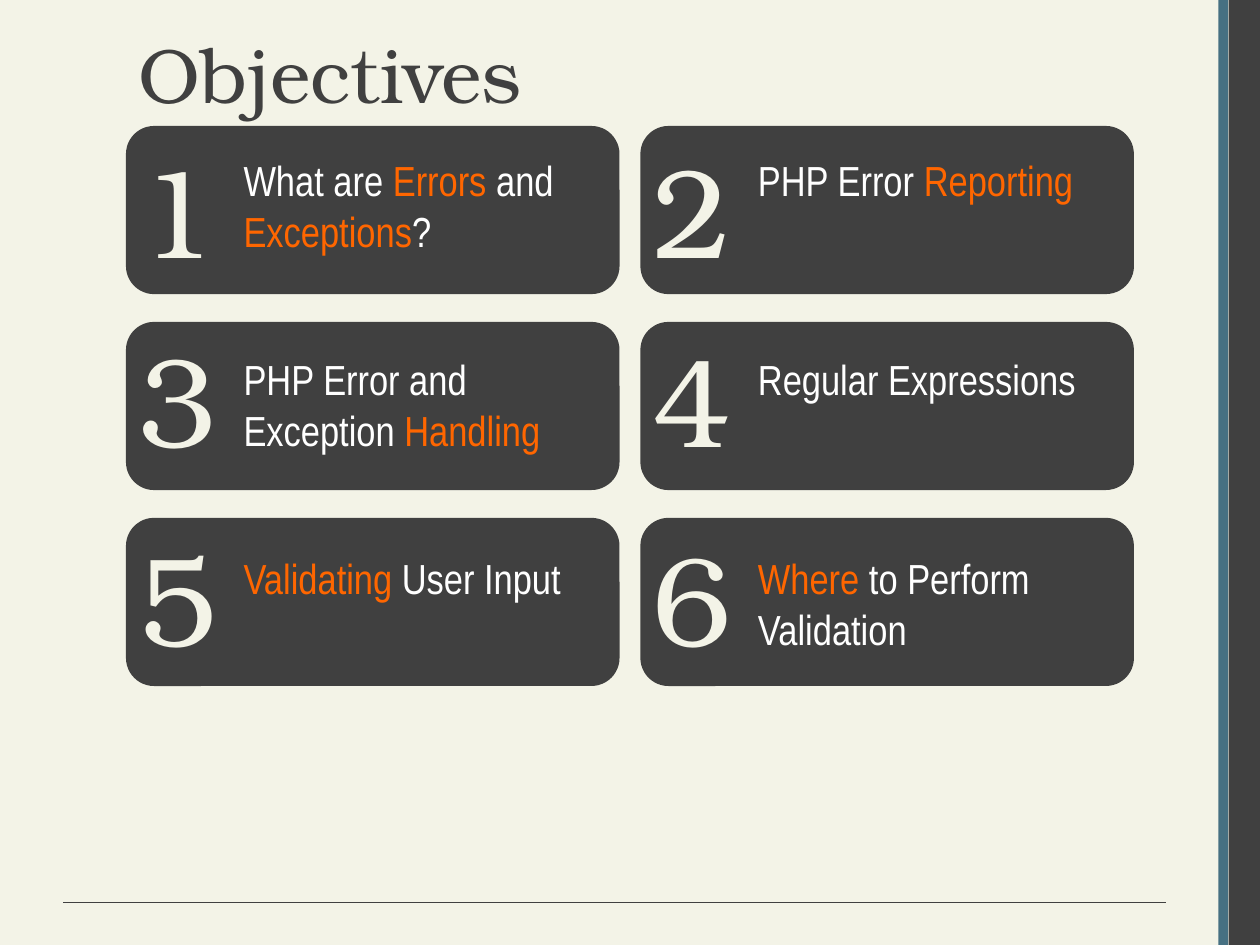
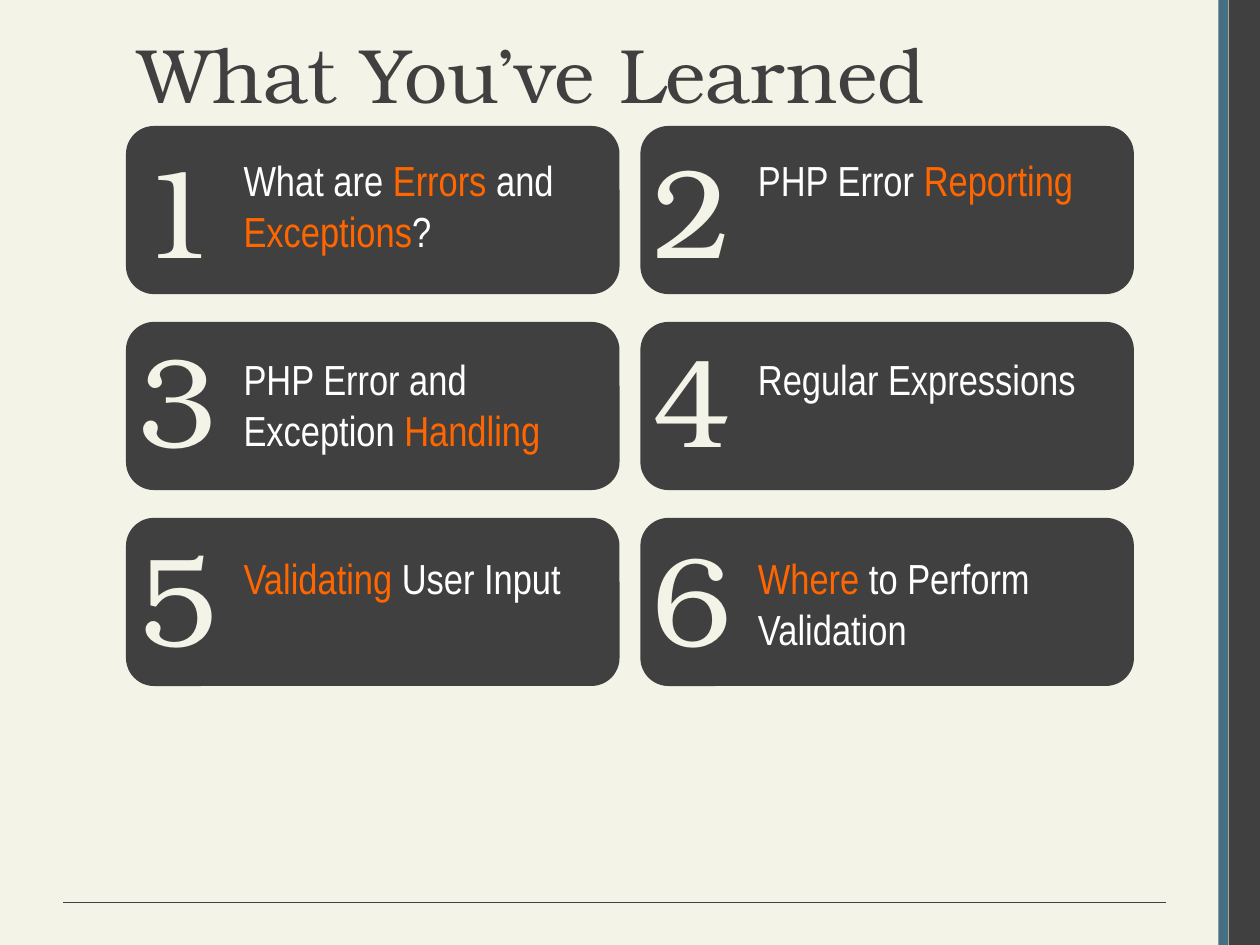
from lxml import etree
from pptx import Presentation
from pptx.dml.color import RGBColor
from pptx.enum.shapes import MSO_CONNECTOR, MSO_SHAPE
from pptx.enum.text import MSO_ANCHOR, MSO_AUTO_SIZE, PP_ALIGN
from pptx.oxml.ns import qn
from pptx.util import Cm, Pt

RECTANGLE = MSO_SHAPE.RECTANGLE
ROUNDED = MSO_SHAPE.ROUNDED_RECTANGLE
STRAIGHT = MSO_CONNECTOR.STRAIGHT
TOP = MSO_ANCHOR.TOP
LEFT = PP_ALIGN.LEFT
FIXED = MSO_AUTO_SIZE.NONE
GROW = MSO_AUTO_SIZE.SHAPE_TO_FIT_TEXT

COLOURS = {
    "paper": "F3F3E7",
    "charcoal": "404040",
    "steel": "467082",
    "white": "FFFFFF",
    "orange": "FF6600",
}
TITLE = {"name": "TeX Gyre Bonum", "size": Pt(44)}
NUMBER = {"name": "TeX Gyre Bonum", "size": Pt(72)}
TOPIC = {"name": "Arial Narrow", "size": Pt(24)}

# Lengths in centimetres
PAGE_WIDTH, PAGE_HEIGHT = 25.4, 19.05
CARD_LEFT, CARD_TOP = 2.54, 2.54
CARD_WIDTH, CARD_HEIGHT = 9.95, 3.39
COLUMN_STEP, ROW_STEP = 10.37, 3.95
NUMBER_TOPS = [2.54, 6.35, 10.37]
TOPIC_INDENT, TOPIC_TOP, TOPIC_STEP = 2.12, 3.0, 4.01

TITLES = ["Objectives", "What You’ve Learned"]
# Topic text, with highlights between asterisks, and the width of its box
TOPICS = [
    ("What are *Errors* and *Exceptions*?", 7.62),
    ("PHP Error *Reporting*", 7.42),
    ("PHP Error and Exception *Handling*", 8.05),
    ("Regular Expressions", 7.19),
    ("*Validating* User Input", 7.19),
    ("*Where* to Perform Validation", 7.19),
]


def colour(name):
    return RGBColor.from_string(COLOURS[name])


def add_block(page, kind, left, top, width, height, fill):
    block = page.shapes.add_shape(kind, Cm(left), Cm(top), Cm(width), Cm(height))
    block.shadow.inherit = False
    block.fill.solid()
    block.fill.fore_color.rgb = colour(fill)
    block.line.fill.background()


def add_rule(page, left, right, height):
    rule = page.shapes.add_connector(
        STRAIGHT, Cm(right), Cm(height), Cm(left), Cm(height))
    rule.line.color.rgb = colour("charcoal")
    rule.line.width = Pt(0.75)
    etree.SubElement(rule.element.spPr, qn("a:effectLst"))


def add_text(page, text, left, top, width, height, font, ink, auto_size=GROW):
    """Add a text box; words between asterisks become orange."""
    box = page.shapes.add_textbox(Cm(left), Cm(top), Cm(width), Cm(height))
    frame = box.text_frame
    frame_format = {"word_wrap": True, "vertical_anchor": TOP, "auto_size": auto_size}
    for name, value in frame_format.items():
        setattr(frame, name, value)
    para = frame.paragraphs[0]
    para.alignment = LEFT
    for index, part in enumerate(text.split("*")):
        if not part:
            continue
        span = para.add_run()
        span.text = part
        for name, value in font.items():
            setattr(span.font, name, value)
        span.font.color.rgb = colour("orange" if index % 2 else ink)


def add_page(deck, title):
    """Add a blank page with the shared background, side bands, rule and title."""
    page = deck.slides.add_slide(deck.slide_layouts[6])
    page.background.fill.solid()
    page.background.fill.fore_color.rgb = colour("paper")
    add_block(page, RECTANGLE, 24.77, 0, 0.63, PAGE_HEIGHT, "charcoal")
    add_block(page, RECTANGLE, 24.56, 0, 0.2, PAGE_HEIGHT, "steel")
    add_rule(page, 1.27, 23.5, 18.2)
    add_text(page, title, 2.54, 0.42, 22.02, 2.96, TITLE, "charcoal", FIXED)
    return page


def add_card(page, index, topic, topic_width):
    row, column = divmod(index, 2)
    left = CARD_LEFT + column * COLUMN_STEP
    add_block(page, ROUNDED, left, CARD_TOP + row * ROW_STEP,
              CARD_WIDTH, CARD_HEIGHT, "charcoal")
    add_text(page, topic, left + TOPIC_INDENT, TOPIC_TOP + row * TOPIC_STEP,
             topic_width, 2.31, TOPIC, "white")
    add_text(page, str(index + 1), left, NUMBER_TOPS[row], 1.9, 3.33,
             NUMBER, "paper")


def main():
    deck = Presentation()
    deck.slide_width, deck.slide_height = Cm(PAGE_WIDTH), Cm(PAGE_HEIGHT)
    for title in TITLES:
        page = add_page(deck, title)
        for index, (topic, topic_width) in enumerate(TOPICS):
            add_card(page, index, topic, topic_width)
    deck.save("out.pptx")


if __name__ == "__main__":
    main()
